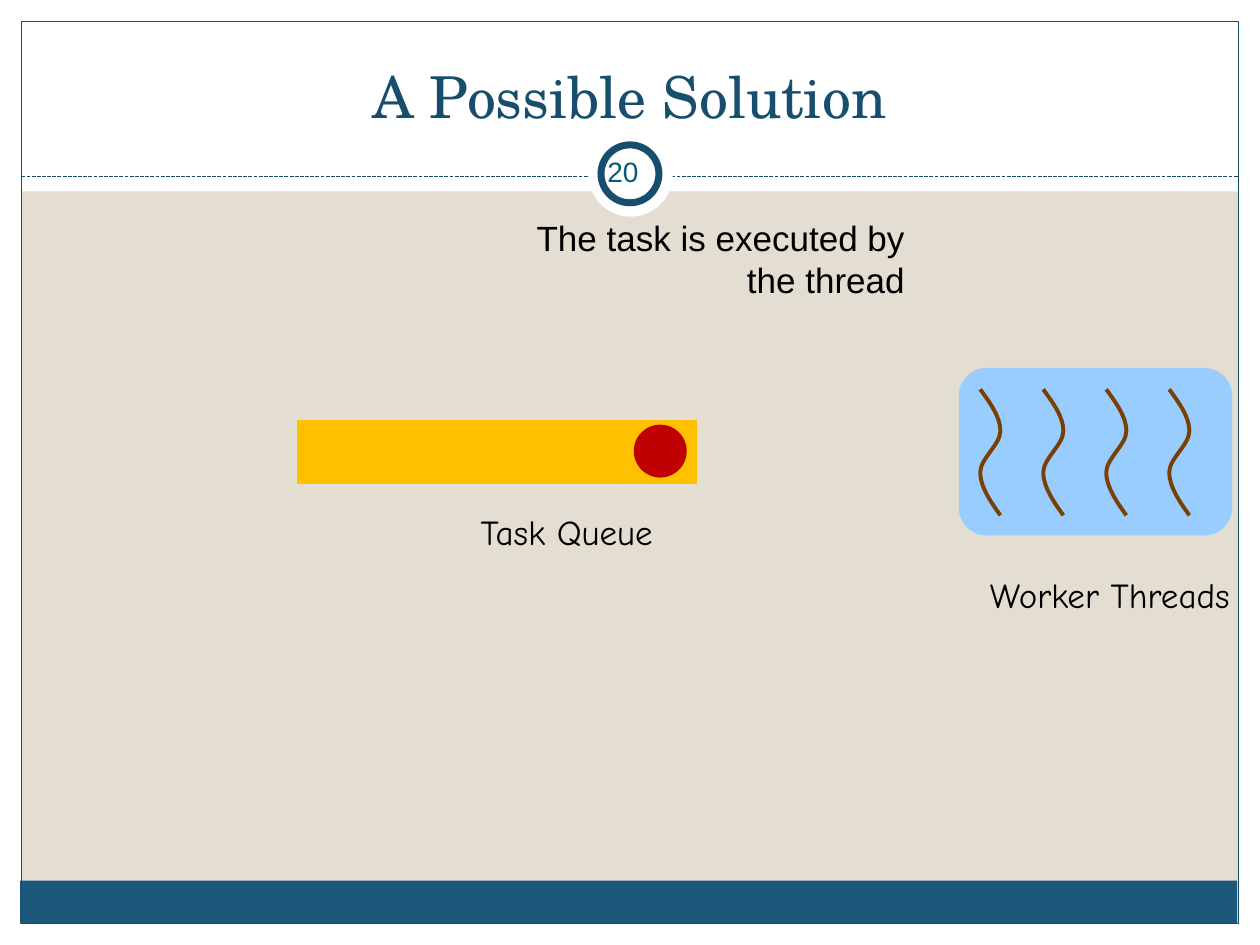
from lxml import etree
from pptx import Presentation
from pptx import util as u
from pptx.dml.color import RGBColor
from pptx.enum import dml, shapes, text
from pptx.oxml.ns import qn

SAND = RGBColor(0xE3, 0xDE, 0xD1)
WHITE = RGBColor(0xFF, 0xFF, 0xFF)
BLACK = RGBColor(0, 0, 0)
NAVY = RGBColor(0x18, 0x4E, 0x6D)
BLUE = RGBColor(0x1B, 0x58, 0x7C)
TEAL = RGBColor(0x04, 0x5C, 0x75)
SKY = RGBColor(0x99, 0xCC, 0xFF)
GOLD = RGBColor(0xFF, 0xC0, 0x00)
RED = RGBColor(0xC0, 0x00, 0x00)
BROWN = RGBColor(0x78, 0x40, 0x04)

KIND = shapes.MSO_SHAPE
ALIGN = text.PP_ALIGN
ANCHOR = text.MSO_ANCHOR


def write(frame, words, font="Comic Neue", size=20, color=BLACK,
          align=ALIGN.RIGHT, anchor=ANCHOR.TOP, inset=None, rtl=False):
    frame.word_wrap = True
    frame.vertical_anchor = anchor
    if inset is not None:
        for side in ("left", "right", "top", "bottom"):
            setattr(frame, "margin_" + side, u.Inches(inset))
    para = frame.paragraphs[0]
    para.alignment = align
    run = para.add_run()
    run.text = words
    run.font.name = font
    run.font.size = u.Pt(size)
    run.font.color.rgb = color
    if rtl:
        para._p.get_or_add_pPr().set("rtl", "1")
        etree.SubElement(run._r.get_or_add_rPr(), qn("a:cs"), typeface="Arial")


class Deck:
    def __init__(self, wide, high, back):
        self.show = Presentation()
        self.show.slide_width = u.Inches(wide)
        self.show.slide_height = u.Inches(high)
        self.slide = self.show.slides.add_slide(self.show.slide_layouts[6])
        fill = self.slide.background.fill
        fill.solid()
        fill.fore_color.rgb = back

    def paint(self, item, fill=None, line=None, width=0.75):
        item.shadow.inherit = False
        if fill is None:
            item.fill.background()
        else:
            item.fill.solid()
            item.fill.fore_color.rgb = fill
        if line is None:
            item.line.fill.background()
        else:
            item.line.color.rgb = line
            item.line.width = u.Pt(width)

    def shape(self, box, kind=KIND.RECTANGLE, **style):
        item = self.slide.shapes.add_shape(kind, *map(u.Inches, box))
        self.paint(item, **style)

    def label(self, box, words, **style):
        item = self.slide.shapes.add_textbox(*map(u.Inches, box))
        write(item.text_frame, words, **style)

    def rule(self, start, end, color):
        line = self.slide.shapes.add_connector(
            shapes.MSO_CONNECTOR.STRAIGHT, *map(u.Inches, start + end))
        line.line.color.rgb = color
        line.line.width = u.Pt(0.75)
        line.line.dash_style = dml.MSO_LINE.SQUARE_DOT
        etree.SubElement(line._element.spPr, qn("a:effectLst"))

    def curve(self, points, **style):
        spots = [(u.Inches(x), u.Inches(y)) for x, y in points]
        pen = self.slide.shapes.build_freeform(*spots[0])
        pen.add_line_segments(spots[1:], close=False)
        item = pen.convert_to_shape()
        track = item._element.find(".//" + qn("a:path"))
        steps = track.findall(qn("a:lnTo"))
        for i in range(0, len(steps), 3):
            bend = etree.SubElement(track, qn("a:cubicBezTo"))
            for step in steps[i:i + 3]:
                bend.append(step[0])
                track.remove(step)
        self.paint(item, **style)


deck = Deck(10, 7.5, SAND)

for edge in ((0, 7.33, 10, 0.17), (0, 0, 10, 1.52),
             (0, 0, 0.17, 7.5), (9.83, 0, 0.17, 7.5)):
    deck.shape(edge, fill=WHITE)
deck.shape((0.16, 6.99, 9.66, 0.34), fill=BLUE)
deck.shape((0.17, 0.17, 9.66, 7.16), line=NAVY)
deck.rule((0.17, 1.4), (9.83, 1.4), NAVY)
deck.shape((4.67, 1.05, 0.67, 0.67), KIND.OVAL, fill=WHITE)
deck.shape((4.77, 1.15, 0.46, 0.46), KIND.OVAL, fill=WHITE, line=NAVY, width=4)

deck.label((0.33, 0.25, 9.33, 0.83), "A Possible Solution",
           font="TeX Gyre Schola", size=33, color=NAVY,
           align=ALIGN.CENTER, anchor=ANCHOR.BOTTOM)
deck.label((4.77, 1.12, 0.5, 0.48), "20", font="TeX Gyre Pagella", size=16,
           color=TEAL, align=ALIGN.LEFT, anchor=ANCHOR.MIDDLE,
           inset=0.05, rtl=True)

deck.shape((7.61, 2.92, 2.17, 1.33), KIND.FLOWCHART_ALTERNATE_PROCESS, fill=SKY)
WAVE = ((0, 0), (0.08, 0.11), (0.16, 0.22), (0.16, 0.33), (0.16, 0.44),
        (0, 0.55), (0, 0.66), (0, 0.77), (0.08, 0.89), (0.16, 1))
for i in range(4):
    deck.curve([(7.78 + 0.5 * i + x, 3.09 + y) for x, y in WAVE],
               line=BROWN, width=2.25)
deck.label((7.28, 4.5, 2.58, 0.43), "Worker Threads")

deck.shape((2.36, 3.34, 3.17, 0.5), fill=GOLD, line=GOLD)
deck.shape((5.03, 3.37, 0.42, 0.42), KIND.OVAL, fill=RED)
deck.label((2.61, 4, 2.67, 0.43), "Task Queue")
deck.label((4.03, 1.67, 3.25, 0.77), "The task is executed by the thread",
           font="Arial")

deck.show.save("out.pptx")
